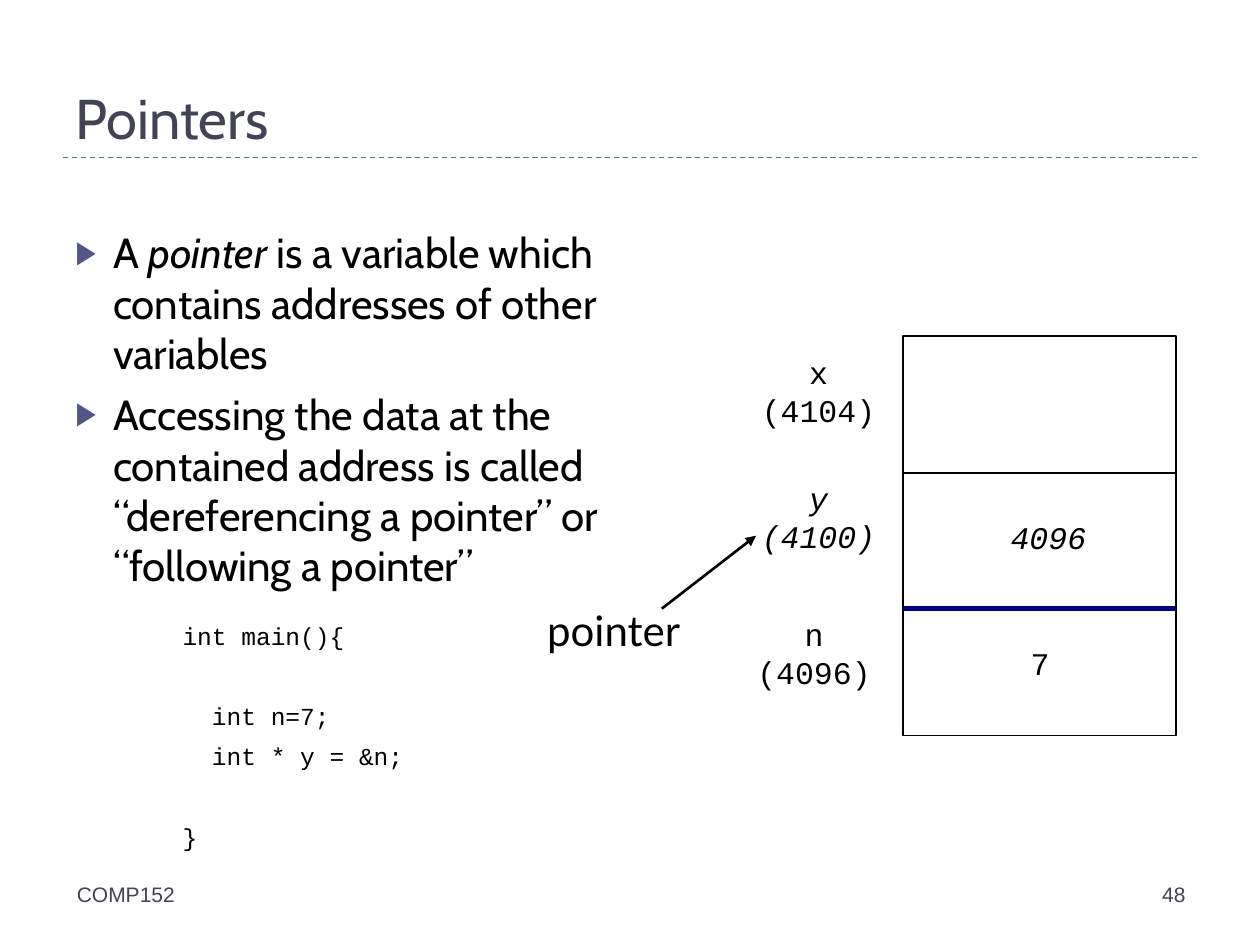
from lxml.etree import SubElement
from pptx import Presentation
from pptx.dml.color import RGBColor
from pptx.enum.dml import MSO_LINE as Dash
from pptx.enum.shapes import MSO_CONNECTOR as Link, MSO_SHAPE as Shape
from pptx.enum.text import MSO_ANCHOR as Anchor, PP_ALIGN as Align
from pptx.oxml.ns import qn
from pptx.util import Cm, Pt

BLACK, SLATE = "000000", "424456"
CODE_FONT = "Courier New"


def color(value):
    """Turn a hex string into a colour."""
    return RGBColor.from_string(value)


def style(para, font, size, ink=BLACK, italic=False):
    """Format every run of a paragraph."""
    for span in para.runs:
        span.font.name = font
        span.font.size = Pt(size)
        span.font.color.rgb = color(ink)
        span.font.italic = italic


def add_frame(slide, left, top, width, height, wrap=True):
    """Add an empty text box and return its text frame."""
    box = slide.shapes.add_textbox(Cm(left), Cm(top), Cm(width), Cm(height))
    box.text_frame.word_wrap = wrap
    return box.text_frame


def add_label(slide, place, text, font, size, ink=BLACK, align=Align.CENTER,
              italic=False, wrap=True):
    """Add a one-paragraph text box and return its text frame."""
    frame = add_frame(slide, *place, wrap=wrap)
    para = frame.paragraphs[0]
    para.text = text
    para.alignment = align
    style(para, font, size, ink, italic)
    return frame


def add_line(slide, start, end, ink, weight):
    """Add a straight line without a shadow."""
    line = slide.shapes.add_connector(Link.STRAIGHT, *map(Cm, start + end))
    line.line.color.rgb = color(ink)
    line.line.width = Pt(weight)
    SubElement(line._element.spPr, qn("a:effectLst"))
    return line


def add_arrow(slide, start, end):
    """Add a black line with a triangular head at its end."""
    arrow = add_line(slide, start, end, BLACK, 1.5)
    SubElement(arrow.line._get_or_add_ln(), qn("a:tailEnd"), type="triangle")


def set_bullet(para):
    """Give a paragraph a hanging triangle bullet."""
    props = para._p.get_or_add_pPr()
    props.set("marL", str(Cm(0.76)))
    props.set("indent", str(-Cm(0.76)))
    tint = SubElement(props, qn("a:buClr"))
    SubElement(tint, qn("a:srgbClr"), val="53548A")
    SubElement(props, qn("a:buSzPct"), val="76000")
    SubElement(props, qn("a:buFont"), typeface="Arial")
    SubElement(props, qn("a:buChar"), char="▶")


def next_paragraph(frame, index, gap):
    """Return the first paragraph, or a new one with space before it."""
    if index == 0:
        return frame.paragraphs[0]
    para = frame.add_paragraph()
    para.space_before = Pt(gap)
    return para


def add_bullets(slide, place, items):
    """Add bullets made of (text, italic) parts."""
    frame = add_frame(slide, *place)
    for index, parts in enumerate(items):
        para = next_paragraph(frame, index, 6)
        set_bullet(para)
        for text, italic in parts:
            para.add_run().text = text
        style(para, "Cabin", 24)
        for span, (text, italic) in zip(para.runs, parts):
            span.font.italic = italic


def add_code(slide, place, lines):
    """Add code lines given as (space before, text)."""
    frame = add_frame(slide, *place)
    for index, (gap, text) in enumerate(lines):
        para = next_paragraph(frame, index, gap)
        para.text = text
        style(para, CODE_FONT, 14)


def add_memory(slide):
    """Draw the memory cells with their names, addresses and values."""
    left, top, width, height = 18.21, 6.78, 5.5, 8.05
    memory = slide.shapes.add_shape(
        Shape.RECTANGLE, Cm(left), Cm(top), Cm(width), Cm(height))
    memory.shadow.inherit = False
    memory.fill.background()
    memory.line.color.rgb = color(BLACK)
    memory.line.width = Pt(1)
    for level, ink, weight in ((12.27, "000080", 2.5), (9.53, BLACK, 1)):
        add_line(slide, (left, level), (left + width, level), ink, weight)
    for label_top, label_width, text, italic in (
            (6.99, 3.38, "x\n(4104)", False),
            (9.53, 3.38, "y\n(4100)", True),
            (12.27, 3.2, "n\n(4096)", False)):
        add_label(slide, (14.81, label_top, label_width, 1.78), text,
                  CODE_FONT, 18, italic=italic)
    add_label(slide, (20.12, 10.31, 2.03, 1.02), "4096", CODE_FONT, 18,
              italic=True, wrap=False)
    add_label(slide, (20.52, 12.85, 0.89, 1.02), "7", CODE_FONT, 18, wrap=False)


def main():
    """Build the slide and save it."""
    deck = Presentation()
    deck.slide_width, deck.slide_height = Cm(25.4), Cm(19.05)
    page = deck.slides.add_slide(deck.slide_layouts[6])

    rule = add_line(page, (1.27, 3.18), (24.13, 3.18), "438086", 0.75)
    rule.line.dash_style = Dash.DASH
    title = add_label(page, (1.27, 0.43, 22.86, 2.74), "Pointers", "Cabin", 32,
                      SLATE, Align.LEFT)
    title.vertical_anchor = Anchor.BOTTOM

    add_bullets(page, (1.27, 4.45, 12.07, 13.34), [
        [("A ", False), ("pointer", True),
         (" is a variable which contains addresses of other variables", False)],
        [("Accessing the data at the contained address is called "
          "“dereferencing a pointer” or “following a pointer”", False)],
    ])
    add_memory(page)
    add_arrow(page, (13.34, 12.27), (15.24, 10.8))
    add_label(page, (10.67, 12.07, 3.4, 1.27), "pointer", "Lato", 24, wrap=False)
    add_code(page, (3.43, 12.4, 10.24, 5.28), [
        (0, "int main(){"),
        (29, "  int n=7;"),
        (6, "  int * y = &n;"),
        (29, "}"),
    ])
    add_label(page, (1.3, 17.65, 16.51, 1.02), "COMP152", "Arial", 12, SLATE,
              Align.LEFT)
    add_label(page, (18.64, 17.65, 5.51, 1.02), "48", "Arial", 12, SLATE,
              Align.RIGHT)
    deck.save("out.pptx")


if __name__ == "__main__":
    main()
